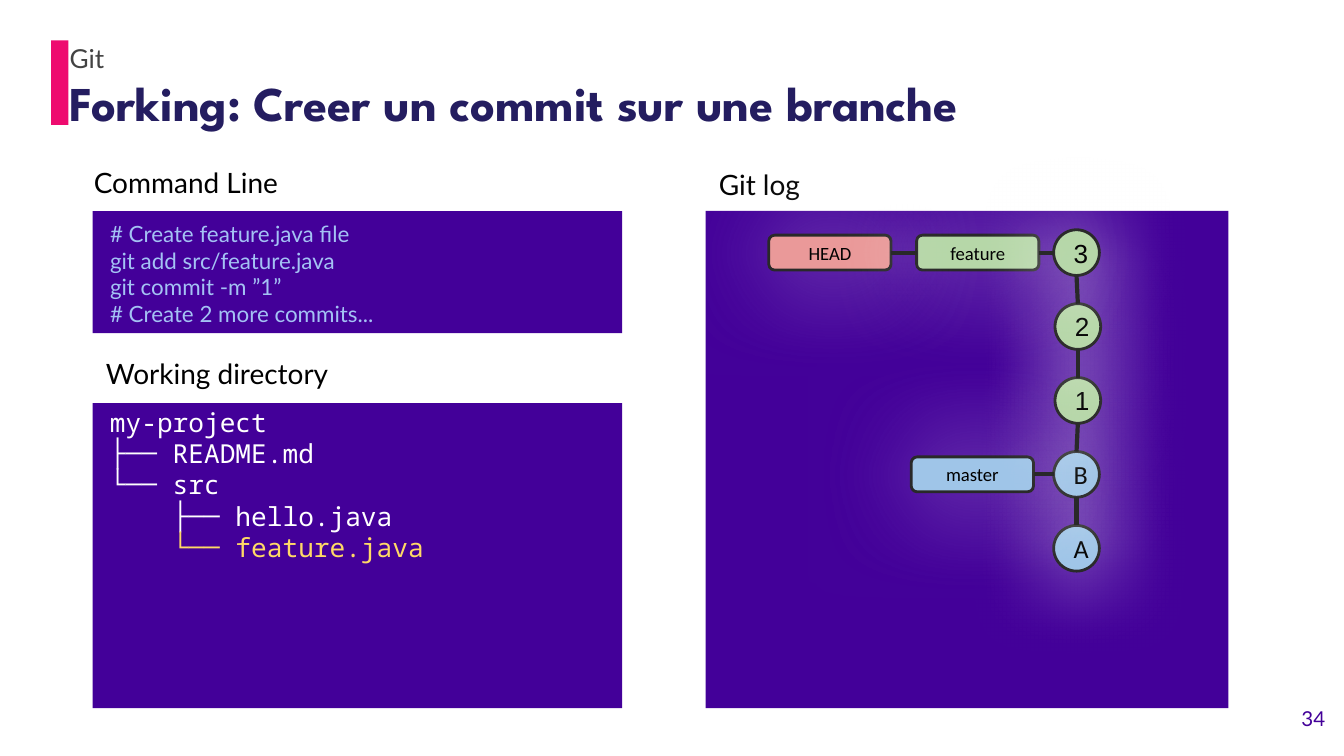
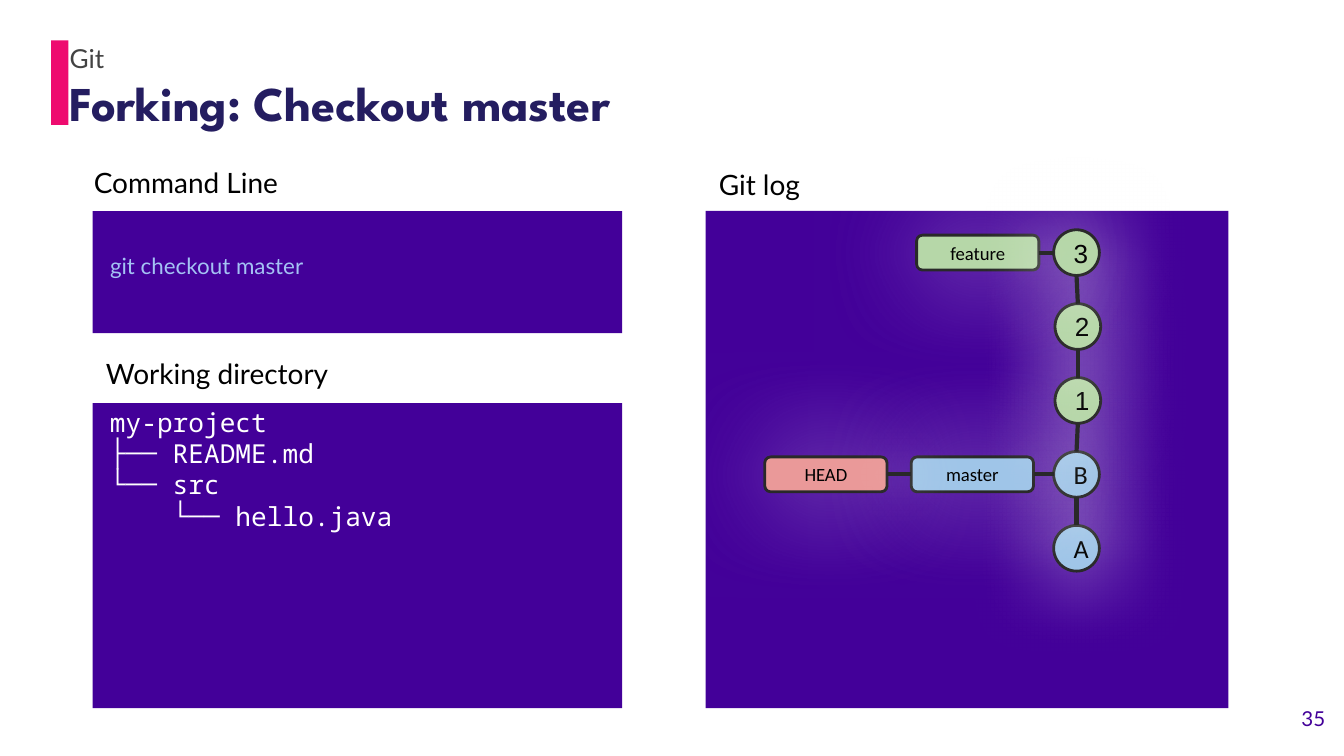
from itertools import pairwise

from lxml.etree import SubElement
from pptx import Presentation
from pptx.dml.color import RGBColor
from pptx.enum.shapes import MSO_CONNECTOR, MSO_SHAPE
from pptx.enum.text import MSO_ANCHOR, PP_ALIGN
from pptx.oxml.ns import qn
from pptx.util import Inches, Pt

# Colours
PINK = RGBColor(0xEE, 0x0B, 0x6F)
PURPLE = RGBColor(0x43, 0x00, 0x99)
NAVY = RGBColor(0x24, 0x1D, 0x60)
GREY = RGBColor(0x43, 0x43, 0x43)
BLACK = RGBColor(0x00, 0x00, 0x00)
WHITE = RGBColor(0xFF, 0xFF, 0xFF)
YELLOW = RGBColor(0xFF, 0xD9, 0x66)
SKY = RGBColor(0xA4, 0xC2, 0xF4)
BLUE = RGBColor(0x9F, 0xC5, 0xE8)
GREEN = RGBColor(0xB6, 0xD7, 0xA8)
RED = RGBColor(0xEA, 0x99, 0x99)
DARK = RGBColor(0x29, 0x29, 0x29)

# What changes from slide to slide
SLIDES = [
    {
        "title": "Forking: Creer un commit sur une branche",
        "page": "34",
        "code": "# Create feature.java file\ngit add src/feature.java\n"
                "git commit -m ”1”\n# Create 2 more commits...",
        "code_top": 1.58,
        "tree": ["my-project\n├── README.md\n└── src\n    ├── hello.java",
                 "    └── feature.java"],
        "head": (5.72, 1.75, "feature"),
    },
    {
        "title": "Forking: Checkout master",
        "page": "35",
        "code": "git checkout master",
        "code_top": 1.52,
        "tree": ["my-project\n├── README.md\n└── src\n    └── hello.java"],
        "head": (5.69, 3.4, "master"),
    },
]
BANDS = [  # left, top, width, height, fill
    (0.38, 0.3, 0.13, 0.63, PINK),
    (0.69, 1.57, 3.94, 0.91, PURPLE),
    (0.69, 3, 3.94, 2.27, PURPLE),
    (5.25, 1.57, 3.89, 3.7, PURPLE),
]
LABELS = [(0.6, 1.13, "Command Line"), (0.69, 2.55, "Working directory"),
          (5.25, 1.15, "Git log")]


def write(shape, texts, font, size, color, align=PP_ALIGN.LEFT,
          anchor=MSO_ANCHOR.TOP, bold=False):
    """Fill a shape with one paragraph a text, broken at each newline."""
    frame = shape.text_frame
    frame.word_wrap = True
    frame.vertical_anchor = anchor
    frame.margin_left = frame.margin_right = Inches(0.1)
    frame.margin_top = frame.margin_bottom = Inches(0.1)
    for i, text in enumerate(texts):
        para = frame.add_paragraph() if i else frame.paragraphs[0]
        para.alignment = align
        for j, line in enumerate(text.split("\n")):
            if j:
                para.add_line_break()
            run = para.add_run()
            run.text = line
            run.font.name = font
            run.font.size = Pt(size)
            run.font.bold = bold
            run.font.color.rgb = color
    return frame


def outline(shape, width, blur, dist, alpha):
    """Give a dark line and a soft white glow."""
    shape.line.color.rgb = DARK
    shape.line.width = Pt(width)
    props = shape._element.spPr
    effect = SubElement(props, qn("a:effectLst"))
    glow = SubElement(effect, qn("a:outerShdw"), blurRad=str(Pt(blur)),
                      dist=str(Pt(dist)), dir="0", algn="bl", rotWithShape="0")
    tint = SubElement(glow, qn("a:srgbClr"), val=str(WHITE))
    SubElement(tint, qn("a:alpha"), val=str(alpha * 1000))


# Widescreen, 16 to 9
deck = Presentation()
deck.slide_width = Inches(10)
deck.slide_height = Inches(10) * 9 // 16

for data in SLIDES:
    slide = deck.slides.add_slide(deck.slide_layouts[6])
    shapes = slide.shapes

    # Accent bar and panels
    for *box, fill in BANDS:
        band = shapes.add_shape(MSO_SHAPE.RECTANGLE, *map(Inches, box))
        band.shadow.inherit = False
        band.fill.solid()
        band.fill.fore_color.rgb = fill
        band.line.fill.background()

    # Title, topic and page number
    box = shapes.add_textbox(*map(Inches, (0.42, 0.44, 9.32, 0.63)))
    write(box, [data["title"]], "League Spartan", 26, NAVY, bold=True)
    box = shapes.add_textbox(*map(Inches, (0.42, 0.3, 9.32, 0.26)))
    write(box, ["Git"], "Lato", 14, GREY, anchor=MSO_ANCHOR.MIDDLE)
    box = shapes.add_textbox(*map(Inches, (9.36, 5.16, 0.6, 0.43)))
    write(box, [data["page"]], "Lato", 11, PURPLE, PP_ALIGN.RIGHT)

    # Panel labels
    for left, top, text in LABELS:
        box = shapes.add_textbox(*map(Inches, (left, top, 2.27, 0.33)))
        write(box, [text], "Lato", 15, BLACK)

    # Commands
    box = shapes.add_textbox(*map(Inches, (0.72, data["code_top"], 3.89, 0.91)))
    write(box, [data["code"]], "Lato", 12, SKY, anchor=MSO_ANCHOR.MIDDLE)

    # File tree, with the new file in yellow
    box = shapes.add_textbox(*map(Inches, (0.72, 2.92, 3.94, 2.51)))
    frame = write(box, data["tree"], "Noto Sans Mono", 14, WHITE)
    for para in frame.paragraphs:
        para.line_spacing = Pt(16.8)
        if "feature" in para.text:
            para.runs[0].font.color.rgb = YELLOW

    # Commits and branch tags
    left, top, branch = data["head"]
    marks = [
        ("A", 7.84, 3.91, BLUE), ("B", 7.84, 3.36, BLUE),
        ("master", 6.78, 3.4, BLUE), ("HEAD", left, top, RED),
        ("feature", 6.82, 1.75, GREEN),
        ("1", 7.85, 2.81, GREEN), ("2", 7.85, 2.26, GREEN),
        ("3", 7.84, 1.71, GREEN),
    ]
    made = {}
    for text, left, top, fill in marks:
        node = len(text) == 1
        kind = MSO_SHAPE.OVAL if node else MSO_SHAPE.ROUNDED_RECTANGLE
        size = (0.34, 0.34) if node else (0.91, 0.26)
        mark = shapes.add_shape(kind, *map(Inches, (left, top, *size)))
        mark.fill.solid()
        mark.fill.fore_color.rgb = fill
        outline(mark, 1.5, *((46.1, 0.8, 100) if node else (56.2, 1.5, 50)))
        write(mark, [text], "Arial" if text.isdigit() else "Calibri",
              14 if node else 10, BLACK, PP_ALIGN.CENTER, MSO_ANCHOR.MIDDLE)
        made[text] = mark

    # Links down the history, then along each branch
    links = []
    for high, low in pairwise(made[name] for name in "321BA"):
        links.append(shapes.add_connector(
            MSO_CONNECTOR.STRAIGHT,
            high.left + high.width // 2, high.top + high.height,
            low.left + low.width // 2, low.top))
    for tag, node in (("master", "B"), ("feature", "3"), ("HEAD", branch)):
        end = made[node]
        link = shapes.add_connector(MSO_CONNECTOR.STRAIGHT, 0, 0,
                                    end.left, end.top + end.height // 2)
        link.begin_connect(made[tag], 3)
        if tag == "HEAD":
            link.end_connect(end, 1)
        links.append(link)
    for link in links:
        outline(link, 2.25, 30.4, 0.8, 100)

deck.save("out.pptx")
